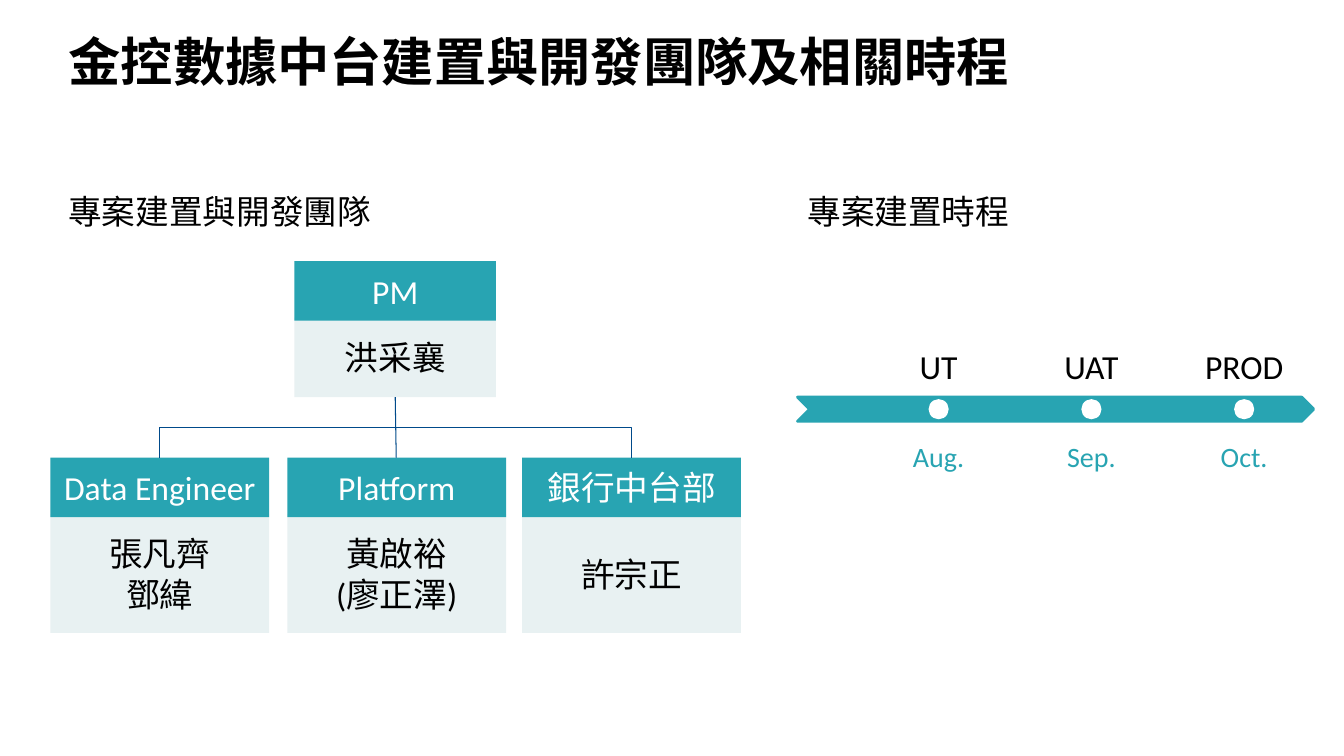
from lxml import etree
from pptx import Presentation
from pptx import util as u
from pptx.dml.color import RGBColor
from pptx.enum import shapes, text
from pptx.oxml.ns import qn

COLORS = {"teal": "28A4B2", "pale": "E8F1F2", "navy": "004A8A", "black": "000000", "white": "FFFFFF"}
TEAM = [
    (0.5, "Data Engineer", ["張凡齊", "鄧緯"]),
    (2.85, "Platform", ["黃啟裕", "(廖正澤)"]),
    (5.18, "銀行中台部", ["許宗正"]),
]
MILESTONES = [("UT", "Aug."), ("UAT", "Sep."), ("PROD", "Oct.")]
PM_CENTER, PM_BOTTOM, TEAM_TOP = 3.92, 3.94, 4.54
TEAM_WIDTH, HEAD_HEIGHT, HEAD_OVERLAP = 2.17, 0.59, 0.03


def rgb(name):
    """Return a named colour."""
    return RGBColor.from_string(COLORS[name])


def write(frame, lines, color="black", size=24, bold=False, align=text.PP_ALIGN.CENTER,
          anchor=text.MSO_ANCHOR.MIDDLE):
    """Fill a text frame with one paragraph per line."""
    for key, value in {"word_wrap": True, "vertical_anchor": anchor,
                       "auto_size": text.MSO_AUTO_SIZE.NONE}.items():
        setattr(frame, key, value)
    for index, line in enumerate(lines):
        para = frame.paragraphs[0] if index == 0 else frame.add_paragraph()
        para.alignment = align
        span = para.add_run()
        span.text = line
        for key, value in {"name": "Calibri", "size": u.Pt(size), "bold": bold}.items():
            setattr(span.font, key, value)
        span.font.color.rgb = rgb(color)


def add_title(page, wording):
    """Place and format the title placeholder."""
    title = page.shapes.title
    for key, value in {"left": 0.58, "top": 0.3, "width": 12.18, "height": 0.61}.items():
        setattr(title, key, u.Inches(value))
    write(title.text_frame, [wording], size=37.3, bold=True, align=text.PP_ALIGN.LEFT)


def add_label(page, left, top, width, height, wording, **style):
    """Add a text box with one line."""
    box = page.shapes.add_textbox(*map(u.Inches, (left, top, width, height)))
    write(box.text_frame, [wording], anchor=text.MSO_ANCHOR.TOP, **style)


def add_block(page, kind, left, top, width, height, fill):
    """Add a plain filled shape."""
    block = page.shapes.add_shape(kind, *map(u.Inches, (left, top, width, height)))
    block.shadow.inherit = False
    block.fill.solid()
    block.fill.fore_color.rgb = rgb(fill)
    block.line.fill.background()
    return block


def add_card(page, left, top, width, body_height, role, members):
    """Add a role header over a box of member names."""
    kind = shapes.MSO_SHAPE.RECTANGLE
    body_top = top + HEAD_HEIGHT - HEAD_OVERLAP
    body = add_block(page, kind, left, body_top, width, body_height, "pale")
    write(body.text_frame, members)
    head = add_block(page, kind, left, top, width, HEAD_HEIGHT, "teal")
    write(head.text_frame, [role], color="white")


def add_line(page, kind, left, top, right, bottom):
    """Add a thin navy connector without shadow."""
    line = page.shapes.add_connector(kind, *map(u.Inches, (left, top, right, bottom)))
    line.line.color.rgb = rgb("navy")
    line.line.width = u.Pt(0.75)
    etree.SubElement(line._element.spPr, qn("a:effectLst"))
    return line


def add_branch(page, target):
    """Add an elbow from the manager down to a team centre."""
    drop, reach = TEAM_TOP - PM_BOTTOM, abs(target - PM_CENTER)
    left = (PM_CENTER + target - drop) / 2
    top = (PM_BOTTOM + TEAM_TOP - reach) / 2
    branch = add_line(page, shapes.MSO_CONNECTOR.ELBOW, left, top, left + drop, top + reach)
    frame = branch._element.spPr.find(qn("a:xfrm"))
    frame.set("rot", str((90 if target < PM_CENTER else 270) * 60000))
    if target > PM_CENTER:
        frame.set("flipH", "1")


def add_team(page):
    """Draw the organisation chart."""
    add_card(page, 2.92, 2.59, 2, 0.79, "PM", ["洪采襄"])
    for left, role, members in TEAM:
        add_card(page, left, TEAM_TOP, TEAM_WIDTH, 1.18, role, members)
    for left in (TEAM[0][0], TEAM[-1][0]):
        add_branch(page, left + TEAM_WIDTH / 2)
    add_line(page, shapes.MSO_CONNECTOR.STRAIGHT, PM_CENTER, PM_BOTTOM, PM_CENTER + 0.01, TEAM_TOP)


def add_timeline(page):
    """Draw the arrow band with its milestones."""
    band = add_block(page, shapes.MSO_SHAPE.CHEVRON, 7.91, 3.94, 5.12, 0.24, "teal")
    band.line.color.rgb = rgb("teal")
    band.line.width = u.Pt(2)
    for index, (stage, month) in enumerate(MILESTONES):
        center = 9.31 + index * 1.515
        add_block(page, shapes.MSO_SHAPE.OVAL, center - 0.1, 3.96, 0.2, 0.2, "white")
        add_label(page, center - 0.515, 3.38, 1.03, 0.5, stage)
        add_label(page, center - 0.515, 4.31, 1.03, 0.44, month, color="teal", size=20)


def main():
    """Build and save the slide."""
    deck = Presentation()
    deck.slide_width, deck.slide_height = u.Inches(13.33), u.Inches(7.5)
    page = deck.slides.add_slide(deck.slide_layouts.get_by_name("Title Only"))
    add_title(page, "金控數據中台建置與開發團隊及相關時程")
    for left, heading in ((0.58, "專案建置與開發團隊"), (7.91, "專案建置時程")):
        add_label(page, left, 1.84, 3.22, 0.5, heading, align=text.PP_ALIGN.LEFT)
    add_team(page)
    add_timeline(page)
    deck.save("out.pptx")


if __name__ == "__main__":
    main()
